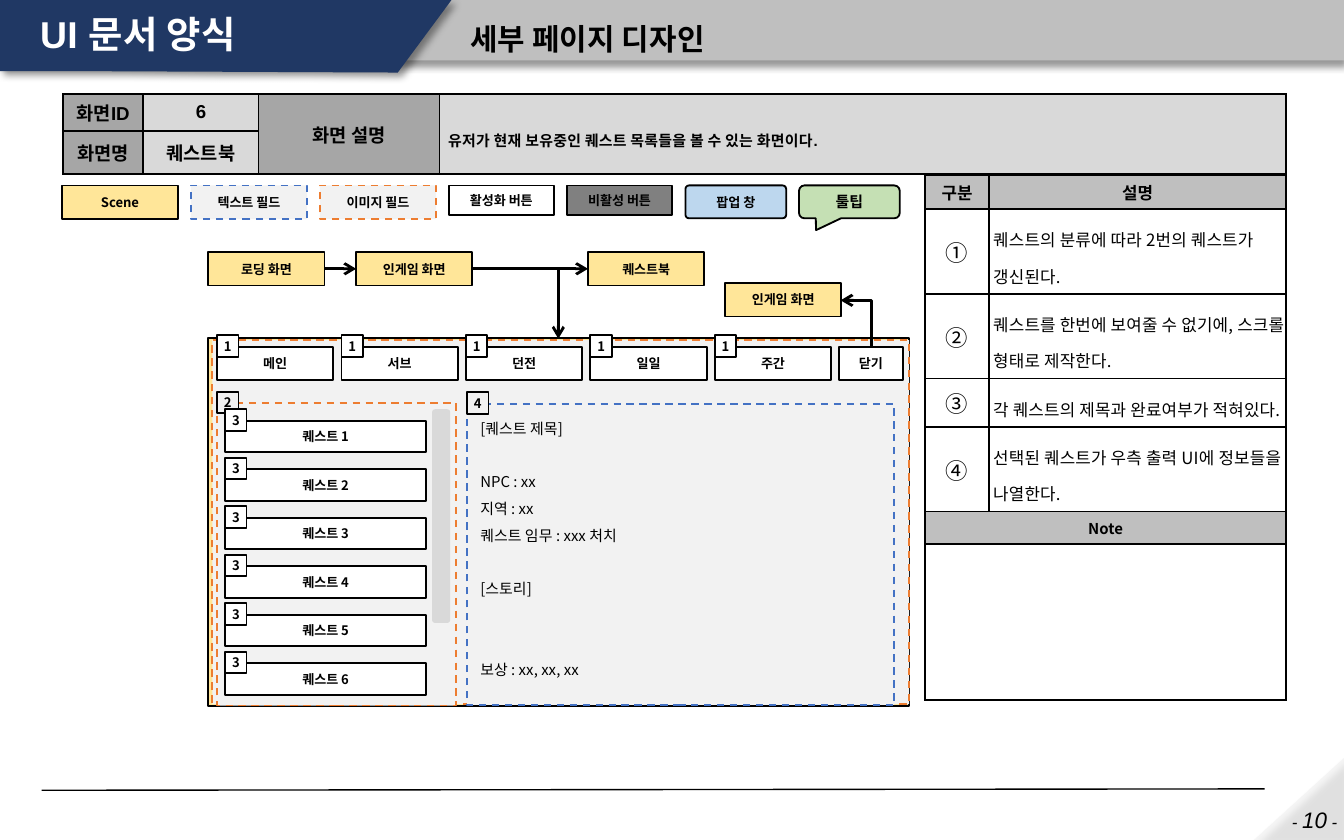
from lxml.etree import SubElement
from pptx import Presentation
from pptx.dml.color import RGBColor
from pptx.enum.dml import MSO_LINE
from pptx.enum.shapes import MSO_CONNECTOR, MSO_SHAPE
from pptx.enum.text import MSO_ANCHOR, PP_ALIGN
from pptx.oxml.ns import qn
from pptx.util import Inches, Pt

KOREAN = "Noto Sans CJK KR"
BLACK, WHITE, PALE, CREAM = "000000", "FFFFFF", "F2F2F2", "FFE699"
BLUE, ORANGE = "4472C4", "ED7D31"
DARK, MID, LIGHT = "A6A6A6", "BFBFBF", "D9D9D9"
ALIGN = {"l": PP_ALIGN.LEFT, "c": PP_ALIGN.CENTER, "r": PP_ALIGN.RIGHT}


def unit(n):
    """Turn grid steps (100 columns by 62.5 rows) into a length."""
    return Inches(n / 10)


def tint(hue):
    return RGBColor.from_string(hue)


def write(frame, text, size=7, bold=True, italic=False, hue=BLACK, font=KOREAN,
          align="c", space=None, gap=0, track=0, join=False):
    """Add a paragraph, or with join a run to the last paragraph.

    track is the letter spacing in hundredths of a point.
    """
    para = frame.paragraphs[-1]
    if para.runs and not join:
        para = frame.add_paragraph()
    para.alignment = ALIGN[align]
    if space:
        para.line_spacing = space
    if gap:
        para.space_before = Pt(gap)
    run = para.add_run()
    run.text = text
    run.font.size, run.font.bold, run.font.italic = Pt(size), bold, italic
    run.font.color.rgb = tint(hue)
    run.font.name = font
    props = run._r.get_or_add_rPr()
    if track:
        props.set("spc", str(track))
    SubElement(props, qn("a:ea"), typeface=KOREAN)


def pad(item, side, top):
    item.margin_left = item.margin_right = unit(side)
    item.margin_top = item.margin_bottom = unit(top)


class Sheet:
    """Holds the slide and the shared look of its parts."""

    def __init__(self, deck):
        self.slide = deck.slides.add_slide(deck.slide_layouts[6])
        self.shapes = self.slide.shapes
        self.edge = 1

    def paint(self, shape, fill, line=None, dash=False, angle=None):
        """Set fill and line; an angle also gives a soft shadow."""
        shape.fill.solid()
        shape.fill.fore_color.rgb = tint(fill)
        if line:
            shape.line.color.rgb = tint(line)
            shape.line.width = Pt(self.edge)
            if dash:
                shape.line.dash_style = MSO_LINE.DASH
        else:
            shape.line.fill.background()
        shape.shadow.inherit = False
        if angle is not None:
            effects = shape._element.spPr.find(qn("a:effectLst"))
            cast = SubElement(effects, qn("a:outerShdw"), blurRad=str(Pt(4)),
                              dist=str(Pt(3)), dir=str(angle * 60000), rotWithShape="0")
            shade = SubElement(cast, qn("a:srgbClr"), val=BLACK)
            SubElement(shade, qn("a:alpha"), val="40000")

    def box(self, x, y, w, h, text="", fill=WHITE, line=BLACK, dash=False,
            kind=MSO_SHAPE.RECTANGLE, adjust=(), angle=None, size=7):
        shape = self.shapes.add_shape(kind, unit(x), unit(y), unit(w), unit(h))
        for i, value in enumerate(adjust):
            shape.adjustments[i] = value
        self.paint(shape, fill, line, dash, angle)
        frame = shape.text_frame
        frame.vertical_anchor = MSO_ANCHOR.MIDDLE
        pad(frame, 0, 0)
        if text:
            write(frame, text, size)
        return shape

    def scene(self, x, y, text):
        self.box(x, y, 8.65, 2.5, text, CREAM)

    def badge(self, x, y, text, fill=WHITE):
        self.box(x, y, 1.6, 1.6, text, fill)

    def field(self, x, y, w, h, hue, text=""):
        return self.box(x, y, w, h, text, PALE, hue, dash=True)

    def outline(self, points, fill):
        path = [(unit(x), unit(y)) for x, y in points]
        maker = self.shapes.build_freeform(*path[0])
        maker.add_line_segments(path[1:], close=True)
        self.paint(maker.convert_to_shape(), fill, angle=45)

    def text(self, x, y, w, h):
        frame = self.shapes.add_textbox(unit(x), unit(y), unit(w), unit(h)).text_frame
        frame.word_wrap = True
        frame.vertical_anchor = MSO_ANCHOR.MIDDLE
        return frame

    def line(self, x1, y1, x2, y2, width=1.5, arrow=True, bent=False, turn=0):
        kind = MSO_CONNECTOR.ELBOW if bent else MSO_CONNECTOR.STRAIGHT
        wire = self.shapes.add_connector(kind, unit(x1), unit(y1), unit(x2), unit(y2))
        wire.line.color.rgb = tint(BLACK)
        wire.line.width = Pt(width)
        props = wire._element.spPr
        if bent:
            props.find(qn("a:prstGeom")).set("prst", "bentConnector2")
        if turn:
            props.find(qn("a:xfrm")).set("rot", str(turn * 60000))
        if arrow:
            SubElement(wire.line._get_or_add_ln(), qn("a:tailEnd"), type="arrow")
        SubElement(props, qn("a:effectLst"))

    def cell(self, cell, fill):
        pad(cell, 0.4, 0.4)
        cell.vertical_anchor = MSO_ANCHOR.MIDDLE
        props = cell._tc.get_or_add_tcPr()
        for side in ("lnL", "lnR", "lnT", "lnB"):
            rule = SubElement(props, qn("a:" + side), w=str(Pt(self.edge)))
            paint = SubElement(rule, qn("a:solidFill"))
            SubElement(paint, qn("a:srgbClr"), val=BLACK)
        if fill:
            cell.fill.solid()
            cell.fill.fore_color.rgb = tint(fill)
        else:
            cell.fill.background()

    def table(self, x, y, cols, rows, fills):
        """Build a bordered grid; fills gives a colour for each cell."""
        grid = self.shapes.add_table(len(rows), len(cols), unit(x), unit(y),
                                     unit(sum(cols)), unit(sum(rows))).table
        grid.first_row = grid.horz_banding = False
        for column, size in zip(grid.columns, cols):
            column.width = unit(size)
        for row, size in zip(grid.rows, rows):
            row.height = unit(size)
        for r, row in enumerate(fills):
            for c, fill in enumerate(row):
                self.cell(grid.cell(r, c), fill)
        return grid


def frame_page(sheet):
    sheet.box(0, 0, 100, 4.5, fill=MID, line=None, angle=90)
    sheet.outline([(0, 0), (33.6, 0), (29.6, 5.4), (7, 5.3), (0, 5.3)], "203864")
    fold = sheet.box(93.6, 56.1, 6.1, 6.7, fill=PALE, line=None,
                     kind=MSO_SHAPE.RIGHT_TRIANGLE, angle=45)
    fold.rotation = 270
    hue = fold._element.spPr.find(qn("a:solidFill"))[0]
    SubElement(hue, qn("a:alpha"), val="70000")
    page = sheet.text(89.4, 59.6, 10.6, 2)
    page.vertical_anchor = MSO_ANCHOR.TOP
    pad(page, 0.5, 0.4)
    for part, size in (("- ", 9), ("10", 12), (" -", 9)):
        write(page, part, size, False, True, font="Arial", align="r", join=True)
    sheet.line(3.1, 58.8, 94.1, 58.7, 0.75, arrow=False)
    write(sheet.text(2, 0, 29.9, 5.4), "UI 문서 양식", 20, hue=WHITE,
          font="Arial", align="l", space=0.9, track=15)
    write(sheet.text(34, 0, 66, 4.4), "세부 페이지 디자인", 16,
          font="Arial", align="l", space=1.5, track=10)


def draw_legend(sheet):
    top = 13.8
    sheet.scene(4.6, top, "Scene")
    sheet.field(14.2, top, 8.65, 2.5, BLUE, "텍스트 필드")
    sheet.field(23.8, top, 8.65, 2.5, ORANGE, "이미지 필드")
    sheet.box(33.4, top, 7.8, 2.2, "활성화 버튼")
    sheet.box(42.2, top, 7.8, 2.2, "비활성 버튼", "808080")
    sheet.box(51, top, 7.5, 2.45, "팝업 창", "BDD7EE",
              kind=MSO_SHAPE.ROUNDED_RECTANGLE, adjust=[0.11])
    sheet.box(59.45, top, 7.5, 2.45, "툴팁", "C5E0B4", size=8,
              kind=MSO_SHAPE.ROUNDED_RECTANGULAR_CALLOUT, adjust=[-0.33, 0.86, 0.17])


def fill_tables(sheet):
    info = sheet.table(4.7, 7, [5.95, 8.6, 13.45, 63], [2.75, 3.2], [[DARK, LIGHT] * 2] * 2)
    for c in (2, 3):
        info.cell(0, c).merge(info.cell(1, c))
    labels = {(0, 0): "화면ID", (0, 1): "6", (0, 2): "화면 설명",
              (1, 0): "화면명", (1, 1): "퀘스트북"}
    for spot, text in labels.items():
        write(info.cell(*spot).text_frame, text, 10, font="Arial")
    about = info.cell(0, 3)
    about.margin_left = unit(0.65)
    write(about.text_frame, "유저가 현재 보유중인 퀘스트 목록들을 볼 수 있는 화면이다.", 8,
          font="Arial", align="l", space=1.5, track=10)

    notes = ["퀘스트의 분류에 따라 2번의 퀘스트가 갱신된다.",
             "퀘스트를 한번에 보여줄 수 없기에, 스크롤 형태로 제작한다.",
             "각 퀘스트의 제목과 완료여부가 적혀있다.",
             "선택된 퀘스트가 우측 출력 UI에 정보들을 나열한다."]
    fills = [[hue] * 2 for hue in (MID, None, None, None, None, MID, None)]
    guide = sheet.table(68.83, 13, [4.77, 22.1], [2.55, 6.33, 6.3, 3.6, 6.3, 2.4, 11.6], fills)
    for r in (5, 6):
        guide.cell(r, 0).merge(guide.cell(r, 1))
    for c, text in enumerate(("구분", "설명")):
        write(guide.cell(0, c).text_frame, text, 9)
    for r, (mark, note) in enumerate(zip("①②③④", notes), 1):
        write(guide.cell(r, 0).text_frame, mark, 12, False)
        about = guide.cell(r, 1)
        pad(about, 0.3, 0.4)
        about.margin_right = 0
        write(about.text_frame, note, 9, False, align="l", space=1.5, track=10)
    write(guide.cell(5, 0).text_frame, "Note", 8)


def draw_flow(sheet):
    sheet.line(24.1, 20, 26.5, 20)
    sheet.line(35.1, 20, 41.55, 25.2, bent=True)
    sheet.line(35.1, 20, 43.75, 20)
    for x, y, name in ((15.5, 18.75, "로딩 화면"), (26.5, 18.75, "인게임 화면"),
                       (43.75, 18.75, "퀘스트북"), (53.95, 21.05, "인게임 화면")):
        sheet.scene(x, y, name)


def draw_book(sheet):
    sheet.field(15.8, 25.3, 51.85, 27.1, ORANGE)
    sheet.box(62.4, 25.8, 4.8, 2.5, "닫기")
    for i, name in enumerate(("메인", "서브", "던전", "일일", "주간")):
        x = 16.15 + 9.26 * i
        sheet.box(x, 25.8, 8.65, 2.5, name)
        sheet.badge(x, 24.95, "1")
    sheet.field(16.15, 30, 17.8, 22.5, ORANGE)
    sheet.badge(16.15, 29.15, "2", PALE)
    sheet.box(32.15, 30.45, 1.35, 15.9, fill=LIGHT, line=None,
              kind=MSO_SHAPE.ROUNDED_RECTANGLE)
    for i in range(6):
        y = 30.45 + 3.61 * i
        sheet.box(16.75, y + 0.85, 14.95, 2.35, f"퀘스트 {i + 1}")
        sheet.badge(16.75, y, "3")
    frame = sheet.field(34.75, 30.05, 31.8, 22.4, BLUE).text_frame
    frame.vertical_anchor = MSO_ANCHOR.TOP
    pad(frame, 1, 0.5)
    pitch = 14.35
    for text, skip in (("[퀘스트 제목]", 0), ("NPC : xx", 1), ("지역 : xx", 0),
                       ("퀘스트 임무 : xxx 처치", 0), ("[스토리]", 1),
                       ("보상 : xx, xx, xx", 2)):
        write(frame, text, 8, False, align="l", space=Pt(pitch), gap=pitch * skip)
    sheet.badge(34.75, 29.2, "4", PALE)
    sheet.line(61.95, 25.25, 65.45, 22.95, bent=True, turn=270)


def main():
    deck = Presentation()
    deck.slide_width, deck.slide_height = unit(100), unit(62.5)
    sheet = Sheet(deck)
    frame_page(sheet)
    draw_legend(sheet)
    sheet.box(15.5, 25.15, 52.15, 27.4, fill=CREAM)
    fill_tables(sheet)
    draw_flow(sheet)
    draw_book(sheet)
    deck.save("out.pptx")


if __name__ == "__main__":
    main()
